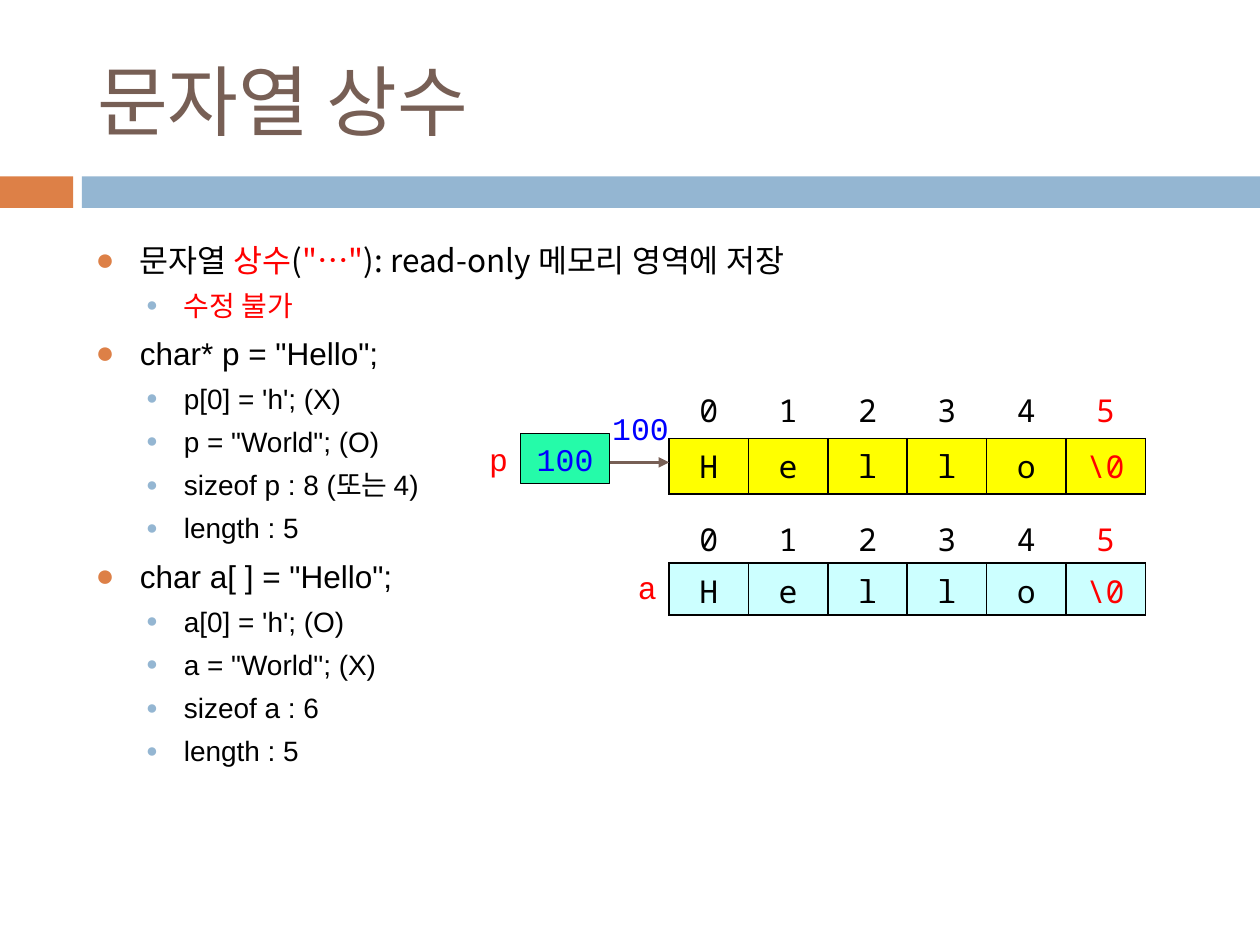
from lxml import etree
from pptx import Presentation
from pptx.dml.color import RGBColor
from pptx.enum.shapes import MSO_CONNECTOR, MSO_SHAPE
from pptx.enum.text import MSO_ANCHOR, MSO_AUTO_SIZE, PP_ALIGN
from pptx.oxml.ns import qn
from pptx.util import Inches, Pt

LEFT, CENTER, RIGHT = PP_ALIGN.LEFT, PP_ALIGN.CENTER, PP_ALIGN.RIGHT
TOP, MIDDLE = MSO_ANCHOR.TOP, MSO_ANCHOR.MIDDLE
NO_AUTOFIT = MSO_AUTO_SIZE.NONE
RECTANGLE = MSO_SHAPE.RECTANGLE
STRAIGHT = MSO_CONNECTOR.STRAIGHT

ORANGE = RGBColor(0xDD, 0x80, 0x47)
BLUE_GRAY = RGBColor(0x94, 0xB6, 0xD2)
BROWN = RGBColor(0x77, 0x5F, 0x55)
BLACK = RGBColor(0, 0, 0)
RED = RGBColor(0xFF, 0, 0)
BLUE = RGBColor(0, 0, 0xFF)
GREEN = RGBColor(0x25, 0xFB, 0xA9)
YELLOW = RGBColor(0xFF, 0xFF, 0)
CYAN = RGBColor(0xCC, 0xFF, 0xFF)

KOREAN, CODE, MONO, LATIN = "Noto Sans CJK KR", "Courier New", "Noto Sans Mono", "Arial"
BULLET_LEVELS = [
    {"size": 18, "before": 7, "left": 0.35, "hanging": 0.35, "color": ORANGE, "percent": 100},
    {"size": 16, "before": 5.5, "left": 0.7, "hanging": 0.3, "color": BLUE_GRAY, "percent": 70},
]
INDICES = ["0", "1", "2", "3", "4", "5"]
CHARACTERS = ["H", "e", "l", "l", "o", "\\0"]
OUTLINE = [
    (0, [("문자열 ", BLACK), ("상수", RED), ("(", BLACK), ('"…"', RED),
         ("): read-only 메모리 영역에 저장", BLACK)], KOREAN),
    (1, [("수정 불가", RED)], KOREAN),
    (0, [('char* p = "Hello";', BLACK)], LATIN),
    (1, [("p[0] = 'h'; (X)", BLACK)], LATIN),
    (1, [('p = "World"; (O)', BLACK)], LATIN),
    (1, [("sizeof p : 8 (또는 4)", BLACK)], LATIN),
    (1, [("length : 5", BLACK)], LATIN),
    (0, [('char a[ ] = "Hello";', BLACK)], LATIN),
    (1, [("a[0] = 'h'; (O)", BLACK)], LATIN),
    (1, [('a = "World"; (X)', BLACK)], LATIN),
    (1, [("sizeof a : 6", BLACK)], LATIN),
    (1, [("length : 5", BLACK)], LATIN),
]


def add_xml(parent, tag, **attributes):
    return etree.SubElement(parent, qn(tag), attributes)


def set_attributes(target, values):
    for name, value in values.items():
        setattr(target, name, value)


class SlideBuilder:
    def __init__(self, slide):
        self.slide = slide

    def place(self, shape, left, top, width, height):
        set_attributes(shape, {"left": Inches(left), "top": Inches(top),
                               "width": Inches(width), "height": Inches(height)})

    def add_text(self, paragraph, text, size, font, color):
        run = paragraph.add_run()
        run.text = text
        set_attributes(run.font, {"size": Pt(size), "name": font})
        run.font.color.rgb = color
        add_xml(run.font._element, "a:ea", typeface=KOREAN)

    def title(self, text, box):
        shape = self.slide.shapes.title
        self.place(shape, *box)
        set_attributes(shape.text_frame, {"vertical_anchor": MIDDLE, "auto_size": NO_AUTOFIT})
        paragraph = shape.text_frame.paragraphs[0]
        paragraph.alignment = LEFT
        self.add_text(paragraph, text, 44, "Calibri", BROWN)

    def bullets(self, outline, box):
        shape = self.slide.placeholders[1]
        self.place(shape, *box)
        frame = shape.text_frame
        set_attributes(frame, {"vertical_anchor": TOP, "auto_size": NO_AUTOFIT})
        for index, (level, runs, font) in enumerate(outline):
            paragraph = frame.add_paragraph() if index else frame.paragraphs[0]
            style = BULLET_LEVELS[level]
            set_attributes(paragraph, {"level": level, "space_before": Pt(style["before"])})
            properties = paragraph._p.get_or_add_pPr()
            properties.set("marL", str(Inches(style["left"])))
            properties.set("indent", str(-Inches(style["hanging"])))
            add_xml(add_xml(properties, "a:buClr"), "a:srgbClr", val=str(style["color"]))
            add_xml(properties, "a:buSzPct", val=str(style["percent"] * 1000))
            add_xml(properties, "a:buFont", typeface=LATIN)
            add_xml(properties, "a:buChar", char="●")
            for text, color in runs:
                self.add_text(paragraph, text, style["size"], font, color)

    def rectangle(self, box, fill, line=None):
        shape = self.slide.shapes.add_shape(RECTANGLE, *map(Inches, box))
        shape.shadow.inherit = False
        shape.fill.solid()
        shape.fill.fore_color.rgb = fill
        if line is None:
            shape.line.fill.background()
        else:
            shape.line.color.rgb = line
            shape.line.width = Pt(0.75)
        return shape

    def label(self, text, box, color, alignment=LEFT, shape=None):
        shape = shape or self.slide.shapes.add_textbox(*map(Inches, box))
        set_attributes(shape.text_frame, {"word_wrap": True, "vertical_anchor": TOP})
        paragraph = shape.text_frame.paragraphs[0]
        paragraph.alignment = alignment
        self.add_text(paragraph, text, 18, CODE, color)

    def arrow(self, start, end):
        connector = self.slide.shapes.add_connector(STRAIGHT, *map(Inches, start + end))
        connector.line.color.rgb = BROWN
        connector.line.width = Pt(1.5)
        add_xml(connector.line._get_or_add_ln(), "a:tailEnd", type="triangle")
        add_xml(connector._element.spPr, "a:effectLst")

    def border(self, cell, sides):
        properties = cell._tc.get_or_add_tcPr()
        for position, side in enumerate(sides):
            line = etree.Element(qn("a:ln" + side), {"w": str(Pt(1))})
            add_xml(add_xml(line, "a:solidFill"), "a:srgbClr", val=str(BLACK))
            properties.insert(position, line)

    def character_table(self, left, top, row_height, bottom_margin, fill):
        columns = len(INDICES)
        box = (left, top, 0.63 * columns, row_height * 2)
        table = self.slide.shapes.add_table(2, columns, *map(Inches, box)).table
        set_attributes(table, {"first_row": False, "horz_banding": False})
        for row, texts in enumerate((INDICES, CHARACTERS)):
            for column, text in enumerate(texts):
                cell = table.cell(row, column)
                set_attributes(cell, {"vertical_anchor": TOP, "margin_bottom": Inches(bottom_margin)})
                if row:
                    cell.fill.solid()
                    cell.fill.fore_color.rgb = fill
                else:
                    cell.fill.background()
                self.border(cell, "LRTB" if row else "B")
                paragraph = cell.text_frame.paragraphs[0]
                paragraph.alignment = CENTER
                color = RED if column == columns - 1 else BLACK
                self.add_text(paragraph, text, 18, MONO, color)


def main():
    presentation = Presentation()
    presentation.slide_width, presentation.slide_height = Inches(10), Inches(7.5)
    builder = SlideBuilder(presentation.slides.add_slide(presentation.slide_layouts[1]))

    builder.rectangle((0, 1.4, 0.58, 0.25), ORANGE)
    builder.rectangle((0.65, 1.4, 9.35, 0.25), BLUE_GRAY)
    builder.title("문자열 상수", (0.67, 0.25, 8.92, 1.08))
    builder.bullets(OUTLINE, (0.66, 1.86, 8.83, 4.54))

    builder.character_table(5.31, 3.04, 0.44, 0.05, YELLOW)
    pointer_box = (4.13, 3.44, 0.71, 0.4)
    pointer = builder.rectangle(pointer_box, GREEN, BLACK)
    builder.label("100", pointer_box, BLUE, CENTER, pointer)
    builder.label("p", (3.66, 3.44, 0.47, 0.4), RED, RIGHT)
    builder.label("100", (4.76, 3.2, 0.79, 0.4), BLUE)
    builder.arrow((4.84, 3.67), (5.31, 3.67))

    builder.character_table(5.31, 4.06, 0.41, 0.02, CYAN)
    builder.label("a", (4.84, 4.46, 0.47, 0.4), RED, RIGHT)

    presentation.save("out.pptx")


if __name__ == "__main__":
    main()
